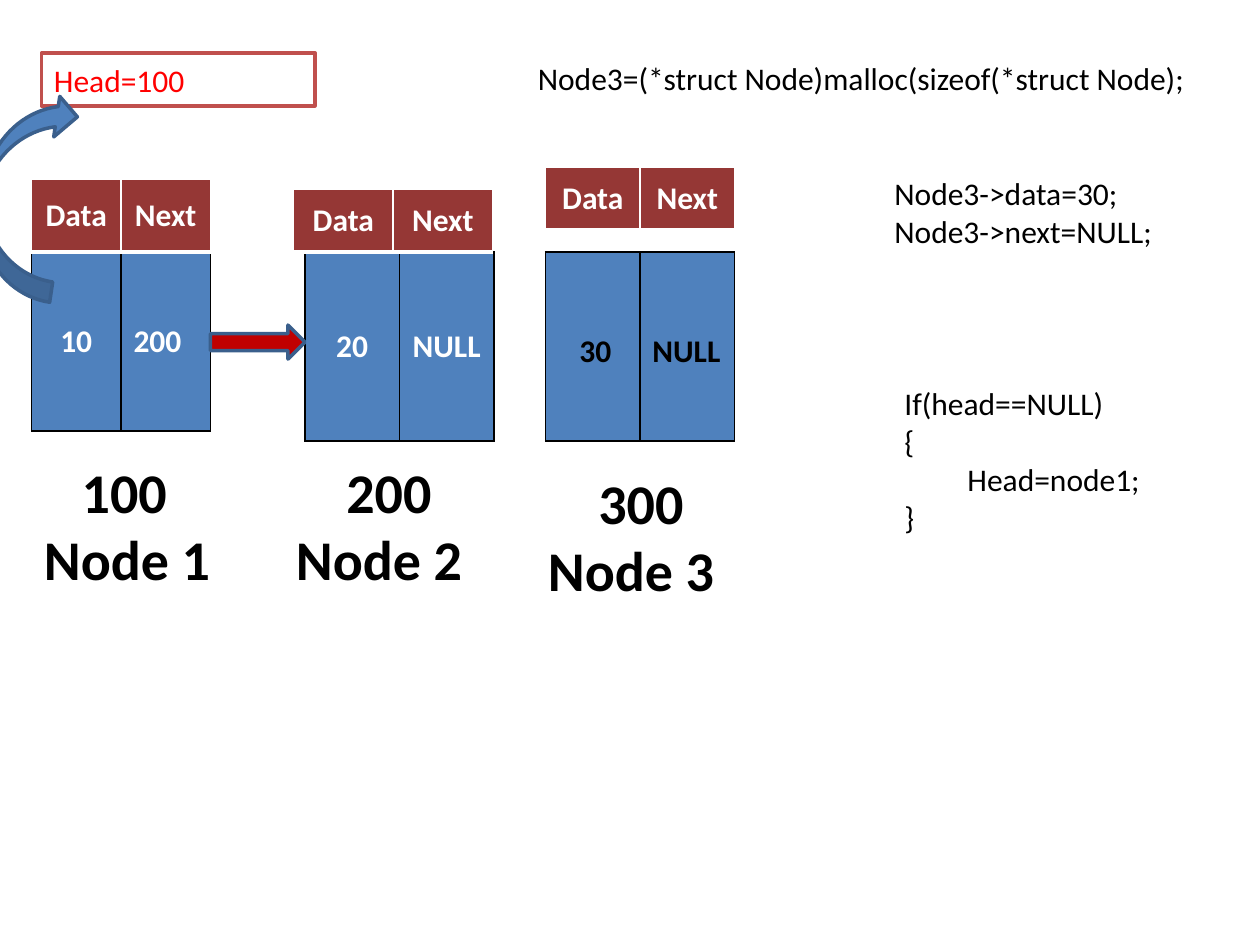
"""Build a slide that shows three linked-list nodes and the code that adds the third."""
from lxml.etree import SubElement
from pptx import Presentation
from pptx.dml.color import RGBColor
from pptx.enum.shapes import MSO_SHAPE
from pptx.enum.text import MSO_ANCHOR, PP_ALIGN
from pptx.oxml.ns import qn
from pptx.util import Inches, Pt

BLACK = RGBColor(0x00, 0x00, 0x00)
WHITE = RGBColor(0xFF, 0xFF, 0xFF)
RED = RGBColor(0xFF, 0x00, 0x00)
BLUE = RGBColor(0x4F, 0x81, 0xBD)
NAVY = RGBColor(0x3A, 0x5F, 0x8C)
MAROON = RGBColor(0x95, 0x37, 0x35)
CRIMSON = RGBColor(0xC0, 0x00, 0x00)
BRICK = RGBColor(0xC0, 0x50, 0x4D)
CENTER, LEFT = PP_ALIGN.CENTER, PP_ALIGN.LEFT

NODES = [
    dict(values=["10", "200"], aligns=[CENTER, LEFT], body=(0.25, 2, 1.42, 1.42),
         header=(0.25, 1.42, 1.42, 0.58),
         label=["100", "Node 1"], label_at=(0.25, 3.58), indent=0.3),
    dict(values=["20", "NULL"], aligns=[CENTER, CENTER], body=(2.42, 2, 1.5, 1.5),
         header=(2.33, 1.5, 1.58, 0.5),
         label=["200", "Node 2"], label_at=(2.25, 3.58), indent=0.4),
    dict(values=["", ""], aligns=[CENTER, CENTER], body=(4.33, 2, 1.5, 1.5),
         header=(4.33, 1.33, 1.5, 0.5),
         label=["300", "Node 3"], label_at=(4.25, 3.67), indent=0.4),
]
LABEL_SIZE = (1.58, 1.18)
BODY_EDGES = {"a:lnL": 1, "a:lnR": 1, "a:lnT": 1, "a:lnB": 1}
HEADER_EDGES = {**BODY_EDGES, "a:lnB": 3}

NEW_VALUES = [("30", (4.5, 2.58, 0.5, 0.4)), ("NULL", (5.08, 2.58, 0.83, 0.4))]
CODE = [
    (["Node3=(*struct Node)malloc(sizeof(*struct Node);"], (4.17, 0.42, 5.39, 0.4), False),
    (["Node3->data=30;", "Node3->next=NULL;"], (7, 1.33, 2.42, 0.71), True),
    (["If(head==NULL)", "{", "\tHead=node1;", "}"], (7.08, 3, 2.83, 1.31), True),
]


def inches(box):
    return [Inches(length) for length in box]


def format_font(font, color, **values):
    for name, value in {"name": "Calibri", "size": Pt(18), **values}.items():
        setattr(font, name, value)
    font.color.rgb = color


def write(frame, lines, color=BLACK, **values):
    for index, line in enumerate(lines):
        paragraph = frame.paragraphs[0] if index == 0 else frame.add_paragraph()
        run = paragraph.add_run()
        run.text = line
        format_font(run.font, color, **values)


def add_text(lines, box, wrap=True, **values):
    frame = slide.shapes.add_textbox(*inches(box)).text_frame
    frame.word_wrap = wrap
    write(frame, lines, **values)
    return frame


def add_row(texts, aligns, box, fill, edge_color, edges):
    table = slide.shapes.add_table(1, len(texts), *inches(box)).table
    table.first_row = table.horz_banding = False
    for cell, text, align in zip(table.rows[0].cells, texts, aligns):
        cell.vertical_anchor = MSO_ANCHOR.MIDDLE
        for edge, width in edges.items():
            line = SubElement(cell._tc.get_or_add_tcPr(), qn(edge), w=str(Pt(width)))
            solid = SubElement(line, qn("a:solidFill"))
            SubElement(solid, qn("a:srgbClr"), val=str(edge_color))
        cell.fill.solid()
        cell.fill.fore_color.rgb = fill
        if text:
            write(cell.text_frame, [text], WHITE, bold=True)
            cell.text_frame.paragraphs[0].alignment = align


def add_block(kind, box, fill, line, rotation=0):
    block = slide.shapes.add_shape(kind, *inches(box))
    block.shadow.inherit = False
    block.fill.solid()
    block.fill.fore_color.rgb = fill
    block.line.color.rgb = line
    block.line.width = Pt(2)
    block.rotation = rotation
    return block


prs = Presentation()
prs.slide_width, prs.slide_height = Inches(10), Inches(7.5)
slide = prs.slides.add_slide(prs.slide_layouts[6])

for node in NODES:
    add_row(node["values"], node["aligns"], node["body"], BLUE, BLACK, BODY_EDGES)
    add_row(["Data", "Next"], [CENTER, CENTER], node["header"], MAROON, WHITE, HEADER_EDGES)
    label = add_text(node["label"], node["label_at"] + LABEL_SIZE, size=Pt(32), bold=True)
    label.paragraphs[0]._p.get_or_add_pPr().set("marL", str(Inches(node["indent"])))

add_block(MSO_SHAPE.LEFT_ARROW, (1.67, 2.58, 0.75, 0.27), CRIMSON, NAVY, 180)

head = add_block(MSO_SHAPE.RECTANGLE, (0.33, 0.42, 2.17, 0.42), WHITE, BRICK)
write(head.text_frame, ["Head=100"], RED)
head.text_frame.paragraphs[0].alignment = LEFT

add_block(MSO_SHAPE.CURVED_LEFT_ARROW, (-0.13, 0.71, 0.65, 1.65), BLUE, NAVY, 188.5)

for value, box in NEW_VALUES:
    add_text([value], box, bold=True)
for lines, box, wrap in CODE:
    add_text(lines, box, wrap)

prs.save("out.pptx")
